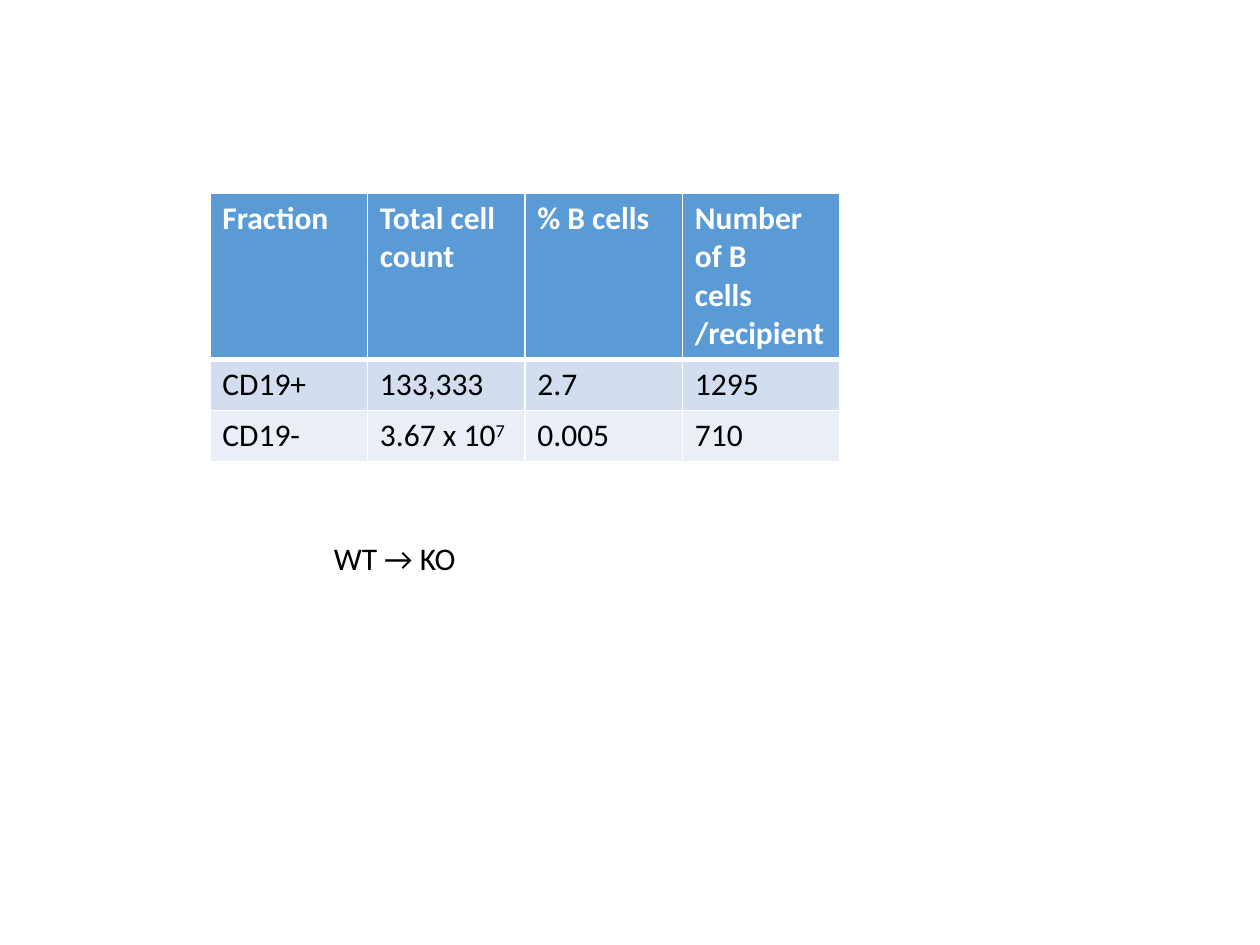
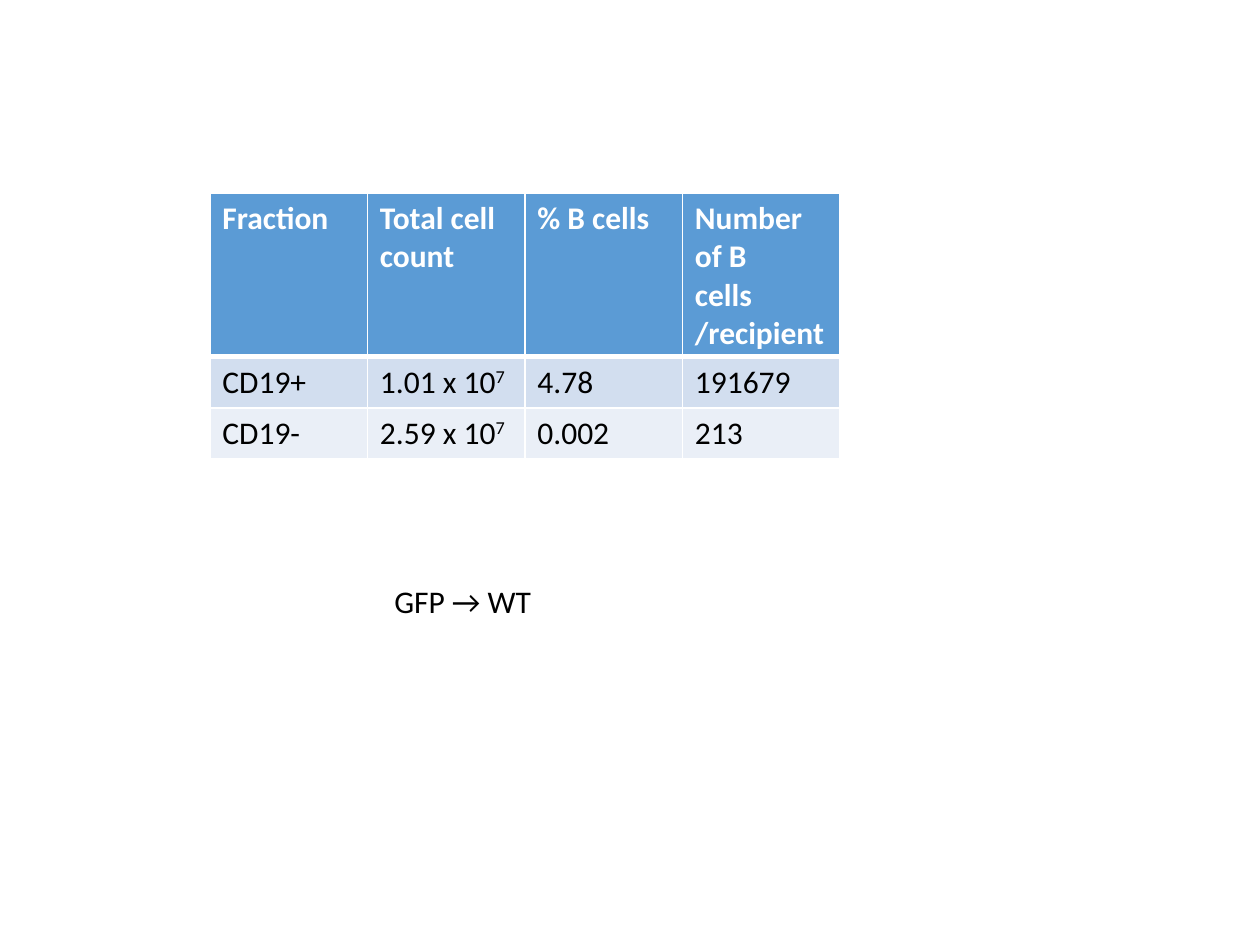
"""Build two slides of B cell counts per fraction, each with a transfer label."""
from lxml.etree import fromstring
from pptx import Presentation
from pptx.dml.color import RGBColor
from pptx.enum.text import MSO_AUTO_SIZE
from pptx.oxml.ns import nsdecls
from pptx.util import Cm, Pt

WHITE = RGBColor(0xFF, 0xFF, 0xFF)
BLACK = RGBColor(0x00, 0x00, 0x00)
BLUE = RGBColor(0x5B, 0x9B, 0xD5)
BAND_DARK = RGBColor(0xD2, 0xDE, 0xEF)
BAND_LIGHT = RGBColor(0xEA, 0xEF, 0xF7)
ROW_FILLS = [BLUE, BAND_DARK, BAND_LIGHT]
BODY = {"name": "Calibri", "size": Pt(18), "bold": False}
HEAD = {**BODY, "bold": True}

HEADERS = ["Fraction", "Total cell count", "% B cells", "Number of B cells /recipient"]
SLIDES = [
    {
        "rows": [["CD19+", "133,333", "2.7", "1295"],
                 ["CD19-", "3.67 x 10^7", "0.005", "710"]],
        "label": "WT → KO",
        "at": (6.48, 10.74, 3.05, 1.02),
    },
    {
        "rows": [["CD19+", "1.01 x 10^7", "4.78", "191679"],
                 ["CD19-", "2.59 x 10^7", "0.002", "213"]],
        "label": "GFP → WT",
        "at": (7.7, 11.61, 3.35, 1.02),
    },
]


def write(tf, text, fmt, color):
    """Write text in one paragraph, raising whatever follows a caret."""
    p = tf.paragraphs[0]
    for i, part in enumerate(text.split("^")):
        r = p.add_run()
        r.text = part
        for key, value in fmt.items():
            setattr(r.font, key, value)
        r.font.color.rgb = color
        if i:
            r._r.get_or_add_rPr().set("baseline", "30000")


def set_borders(cell, widths):
    """Give the cell white borders, with a width in points for each side."""
    tcPr = cell._tc.get_or_add_tcPr()
    for i, (side, width) in enumerate(widths.items()):
        tcPr.insert(i, fromstring(
            f'<a:ln{side} {nsdecls("a")} w="{Pt(width)}"><a:solidFill>'
            f'<a:srgbClr val="{WHITE}"/></a:solidFill></a:ln{side}>'))


prs = Presentation()
prs.slide_width, prs.slide_height = Cm(25.4), Cm(19.05)

for content in SLIDES:
    s = prs.slides.add_slide(prs.slide_layouts[6])
    rows = [HEADERS] + content["rows"]
    frame = s.shapes.add_table(len(rows), len(HEADERS), Cm(4.23), Cm(3.89), Cm(12.7), Cm(4.6))
    table = frame.table
    for i, texts in enumerate(rows):
        table.rows[i].height = Cm(1.03)
        for j, text in enumerate(texts):
            cell = table.cell(i, j)
            cell.fill.solid()
            cell.fill.fore_color.rgb = ROW_FILLS[i]
            set_borders(cell, {"L": 1, "R": 1, "T": 3 if i == 1 else 1, "B": 3 if i == 0 else 1})
            write(cell.text_frame, text, BODY if i else HEAD, BLACK if i else WHITE)
    frame.height = Cm(4.6)

    sp = s.shapes.add_textbox(*map(Cm, content["at"]))
    tf = sp.text_frame
    tf.word_wrap = False
    tf.auto_size = MSO_AUTO_SIZE.SHAPE_TO_FIT_TEXT
    write(tf, content["label"], BODY, BLACK)

prs.save("out.pptx")
